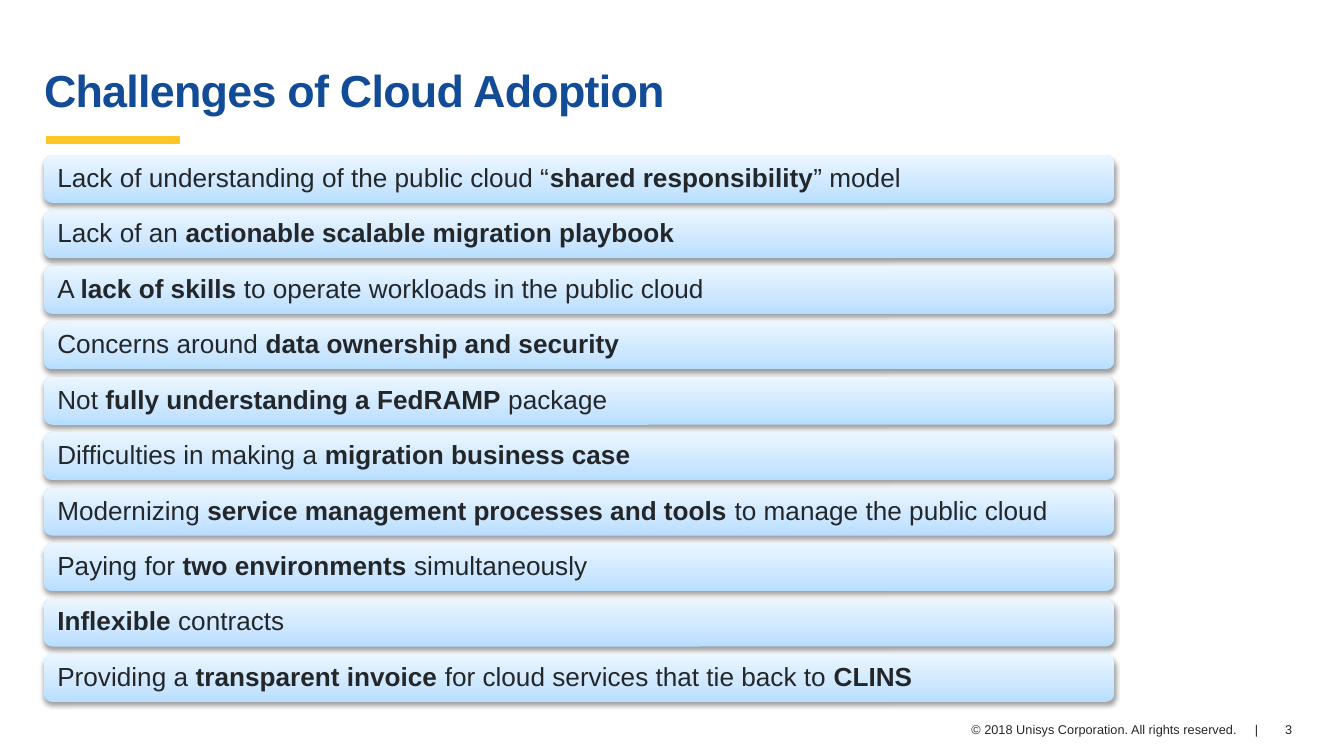
import pptx
import pptx.util
import pptx.dml.color
import pptx.enum.shapes
import pptx.enum.text
import pptx.oxml
import pptx.oxml.ns
from lxml import etree

EMU_PER_PX = 914400 / 134.4
NAVY, GOLD, INK = "124B96", "FFC627", "24272A"
BAR_STOPS = [(0, "B7DEFF"), (35, "CCE7FF"), (100, "EBF6FF")]
BAR_HEIGHT = 48
A_NS = "http://schemas.openxmlformats.org/drawingml/2006/main"

CHALLENGES = [
    "Lack of understanding of the public cloud “*shared responsibility*” model",
    "Lack of an *actionable scalable migration playbook*",
    "A *lack of skills *to operate workloads in the public cloud",
    "Concerns around *data ownership and security*",
    "Not *fully understanding a FedRAMP *package",
    "Difficulties in making a *migration business case*",
    "Modernizing *service management processes and tools* to manage the public cloud",
    "Paying for *two environments *simultaneously",
    "*Inflexible *contracts",
    "Providing a *transparent invoice *for cloud services that tie back to *CLINS*",
]


def px(length):
    return pptx.util.Emu(round(length * EMU_PER_PX))


def color(hex_string):
    return pptx.dml.color.RGBColor.from_string(hex_string)


def style_font(font, size, hex_string, bold=False):
    font.name = "Arial"
    font.size = pptx.util.Pt(size)
    font.bold = bold
    font.color.rgb = color(hex_string)


def set_frame(frame, side=0, top=0):
    frame.word_wrap = True
    frame.vertical_anchor = pptx.enum.text.MSO_ANCHOR.MIDDLE
    frame.margin_left = frame.margin_right = px(side)
    frame.margin_top = frame.margin_bottom = px(top)


def add_xml(parent, xml):
    parent.append(pptx.oxml.parse_xml(xml.replace(">", f' xmlns:a="{A_NS}">', 1)))


def add_heading(slide, left, top, width, height):
    title = slide.shapes.title
    title.left, title.top, title.width, title.height = map(px, (left, top, width, height))
    title.text_frame.text = "Challenges of Cloud Adoption"
    set_frame(title.text_frame, top=7)
    title.text_frame.auto_size = pptx.enum.text.MSO_AUTO_SIZE.NONE
    paragraph = title.text_frame.paragraphs[0]
    paragraph.alignment = pptx.enum.text.PP_ALIGN.LEFT
    paragraph.line_spacing = 0.9
    run = paragraph.runs[0]
    style_font(run.font, 24, NAVY, True)
    run.font._element.set("spc", "-40")

    rule_y = px(top + height + 14)
    accent = slide.shapes.add_connector(
        pptx.enum.shapes.MSO_CONNECTOR.STRAIGHT,
        px(left + 2), rule_y, px(left + 136), rule_y)
    accent.line.color.rgb = color(GOLD)
    accent.line.width = pptx.util.Pt(4)
    etree.SubElement(accent._element.spPr, pptx.oxml.ns.qn("a:effectLst"))


def add_bar(slide, left, top, width, height, challenge):
    bar = slide.shapes.add_shape(
        pptx.enum.shapes.MSO_SHAPE.ROUNDED_RECTANGLE,
        px(left), px(top), px(width), px(height))
    bar.line.fill.background()
    bar.fill.gradient()
    bar.fill.gradient_angle = 90
    stops = bar._element.spPr.find(".//" + pptx.oxml.ns.qn("a:gsLst"))
    for stop in list(stops):
        stops.remove(stop)
    for position, shade in BAR_STOPS:
        add_xml(stops, f'<a:gs pos="{position * 1000}"><a:srgbClr val="{shade}"/></a:gs>')
    bar.shadow.inherit = False
    add_xml(
        bar._element.spPr.find(pptx.oxml.ns.qn("a:effectLst")),
        '<a:outerShdw blurRad="40000" dist="20000" dir="5400000" rotWithShape="0">'
        '<a:srgbClr val="000000"><a:alpha val="38000"/></a:srgbClr></a:outerShdw>')

    set_frame(bar.text_frame, side=11)
    paragraph = bar.text_frame.paragraphs[0]
    paragraph.alignment = pptx.enum.text.PP_ALIGN.LEFT
    paragraph.line_spacing = 0.9
    for index, phrase in enumerate(challenge.split("*")):
        if phrase:
            run = paragraph.add_run()
            run.text = phrase
            style_font(run.font, 14, INK, index % 2 == 1)


def add_challenges(slide, left, top, width, height):
    pitch = (height - BAR_HEIGHT) / (len(CHALLENGES) - 1)
    for row, challenge in enumerate(CHALLENGES):
        add_bar(slide, left, top + row * pitch, width, BAR_HEIGHT, challenge)


def add_footer_text(slide, left, top, width, height, text, tabs=()):
    box = slide.shapes.add_textbox(px(left), px(top), px(width), px(height))
    set_frame(box.text_frame)
    paragraph = box.text_frame.paragraphs[0]
    paragraph.text = text
    if tabs:
        marks = "".join(f'<a:tab pos="{px(place)}" algn="{side}"/>' for place, side in tabs)
        add_xml(paragraph._p.get_or_add_pPr(), f"<a:tabLst>{marks}</a:tabLst>")
    style_font(paragraph.runs[0].font, 6.8, INK)


def add_footer(slide, left, top, width, height):
    add_footer_text(
        slide, left, top, width - 69, height,
        "\t© 2018 Unisys Corporation. All rights reserved.\t|",
        [(width - 107, "r"), (width - 89, "l")])
    add_footer_text(slide, left + width - 59, top, 50, height, "3")


def main():
    deck = pptx.Presentation()
    deck.slide_width, deck.slide_height = px(1344), px(756)
    slide = deck.slides.add_slide(deck.slide_layouts[5])
    add_footer(slide, 659, 714, 685, 30)
    add_heading(slide, 44, 59, 1254, 67)
    add_challenges(slide, 44, 155, 1070, 547)
    deck.save("out.pptx")


if __name__ == "__main__":
    main()
